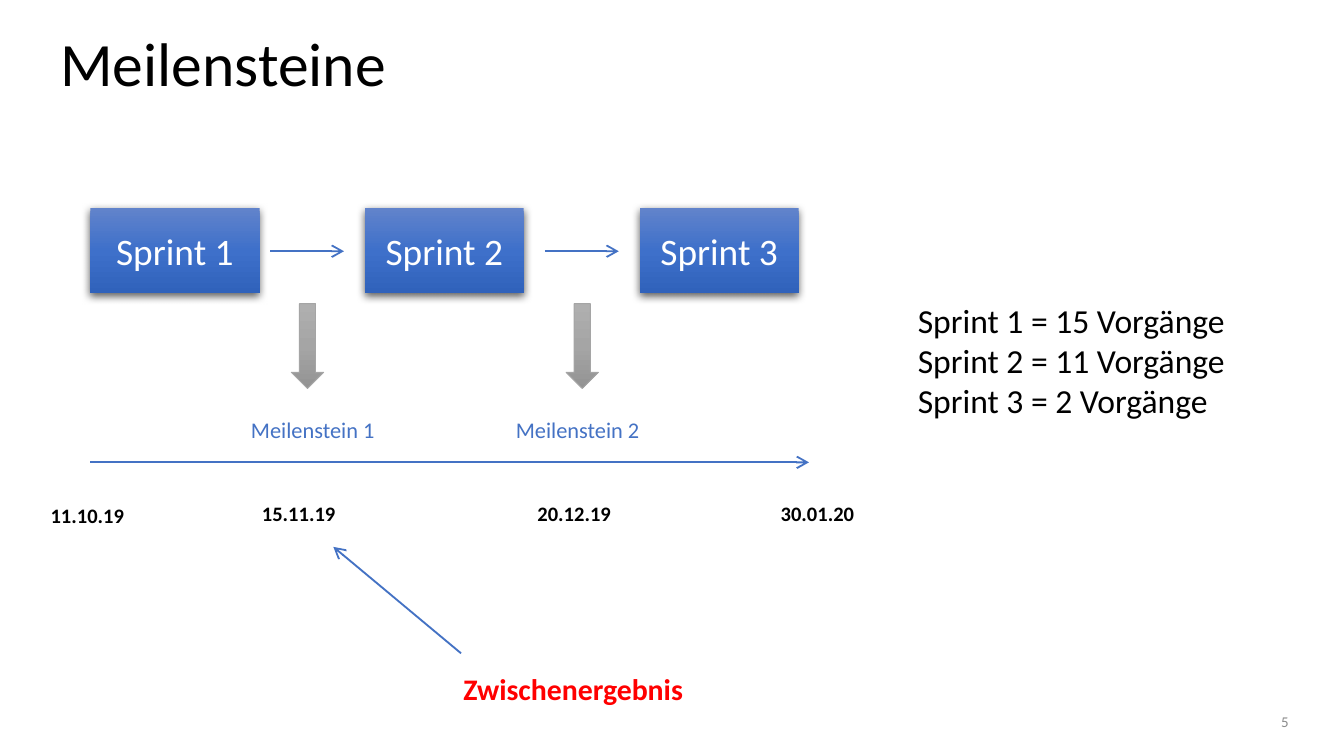
"""Build the milestones slide: three sprints above a dated timeline."""
from lxml import etree
from pptx import Presentation
from pptx.dml.color import RGBColor
from pptx.enum import shapes, text
from pptx.oxml import parse_xml
from pptx.oxml.ns import nsdecls, qn
from pptx.util import Pt

THEME = {
    "font": "Calibri",
    "black": "000000", "white": "FFFFFF", "blue": "4472C4",
    "red": "FF0000", "muted": "8C8C8C", "gray": "A5A5A5",
    "sprint_fill": ("6183CB", "3E70CA", "3062BB"),
    "arrow_fill": ("AFAFAF", "A5A5A5", "939393"),
    "title": 33, "sprint": 20, "notes": 18, "result": 16,
    "milestone": 12, "date": 11, "number": 8,
}
TITLE = "Meilensteine"
SPRINTS = [("Sprint 1", 90.7), ("Sprint 2", 85), ("Sprint 3", 85)]
MILESTONES = [("Meilenstein 1", 127.4), ("Meilenstein 2", 269.3)]
DATES = [("11.10.19", 20, 266), ("15.11.19", 133.2, 265),
         ("20.12.19", 280.8, 265), ("30.01.20", 411.1, 265)]
NOTES = ["Sprint 1 = 15 Vorgänge", "Sprint 2 = 11 Vorgänge", "Sprint 3 = 2 Vorgänge"]
RESULT = "Zwischenergebnis"
NUMBER = "5"

LEFT, PITCH = 48.4, 147.2
SPRINT_TOP, SPRINT_HEIGHT = 111.7, 45.4
TIMELINE_Y, TIMELINE_END = 247.7, 433.4


def write(shape, lines, size, color, **formats):
    """Fill a shape with one paragraph per line."""
    frame = shape.text_frame
    options = {"word_wrap": True, "vertical_anchor": formats.get("anchor", text.MSO_ANCHOR.TOP)}
    if "inset" in formats:
        options.update(margin_left=Pt(formats["inset"]), margin_right=Pt(formats["inset"]))
    for name, value in options.items():
        setattr(frame, name, value)
    for index, line in enumerate(lines):
        para = frame.add_paragraph() if index else frame.paragraphs[0]
        para.alignment = formats.get("align", text.PP_ALIGN.LEFT)
        para.line_spacing = formats.get("spacing", 1.0)
        span = para.add_run()
        span.text = line
        font = {"name": THEME["font"], "size": Pt(THEME[size]), "bold": formats.get("bold", False)}
        for name, value in font.items():
            setattr(span.font, name, value)
        span.font.color.rgb = RGBColor.from_string(THEME[color])


def add_label(page, bounds, lines, size, color, **formats):
    """Add a text box."""
    box = page.shapes.add_textbox(*map(Pt, bounds))
    write(box, lines, size, color, **formats)


def add_gradient_shape(page, kind, bounds, colors):
    """Add a preset shape with a vertical gradient and no outline."""
    shape = page.shapes.add_shape(kind, *map(Pt, bounds))
    shape.shadow.inherit = False
    shape.line.fill.background()
    stops = "".join(
        f'<a:gs pos="{index * 50000}"><a:srgbClr val="{color}"/></a:gs>'
        for index, color in enumerate(colors))
    geometry = shape.element.spPr.find(qn("a:prstGeom"))
    geometry.addnext(parse_xml(
        f'<a:gradFill {nsdecls("a")} rotWithShape="1"><a:gsLst>{stops}</a:gsLst>'
        '<a:lin ang="5400000" scaled="0"/></a:gradFill>'))
    return shape


def add_shadow(shape):
    """Put a soft shadow below a shape."""
    effects = shape.element.spPr.find(qn("a:effectLst"))
    effects.append(parse_xml(
        f'<a:outerShdw {nsdecls("a")} blurRad="{Pt(4.5)}" dist="{Pt(1.5)}" dir="5400000" '
        'algn="ctr" rotWithShape="0"><a:srgbClr val="000000"><a:alpha val="63000"/>'
        '</a:srgbClr></a:outerShdw>'))


def add_arrow(page, *ends):
    """Add a thin line with an open arrowhead at its end."""
    arrow = page.shapes.add_connector(shapes.MSO_CONNECTOR.STRAIGHT, *map(Pt, ends))
    arrow.line.width = Pt(1)
    arrow.line.color.rgb = RGBColor.from_string(THEME["blue"])
    etree.SubElement(arrow.line._get_or_add_ln(), qn("a:tailEnd"), type="arrow")
    etree.SubElement(arrow.element.spPr, qn("a:effectLst"))


def main():
    """Lay out the slide and save it."""
    deck = Presentation()
    deck.slide_width, deck.slide_height = Pt(720), Pt(405)
    page = deck.slides.add_slide(deck.slide_layouts[6])
    middle, center = text.MSO_ANCHOR.MIDDLE, text.PP_ALIGN.CENTER

    add_label(page, (25.2, 13, 666, 45.4), [TITLE], "title", "black", anchor=middle, spacing=0.9)
    add_label(page, (469.4, 379.4, 221, 14.4), [NUMBER], "number", "muted",
              anchor=middle, align=text.PP_ALIGN.RIGHT, inset=0)
    add_label(page, (484.6, 157, 215.3, 72.7), NOTES, "notes", "black")

    for index, (name, width) in enumerate(SPRINTS):
        left = LEFT + index * PITCH
        sprint = add_gradient_shape(page, shapes.MSO_SHAPE.RECTANGLE,
                                    (left, SPRINT_TOP, width, SPRINT_HEIGHT), THEME["sprint_fill"])
        add_shadow(sprint)
        write(sprint, [name], "sprint", "white", anchor=middle, align=center)

    for index, (name, label_left) in enumerate(MILESTONES):
        left = LEFT + index * PITCH
        add_arrow(page, left + 96.3, 134.6, left + 135.9, 134.6)
        pointer = add_gradient_shape(page, shapes.MSO_SHAPE.DOWN_ARROW,
                                     (left + 107.7, 162.7, 17.3, SPRINT_HEIGHT), THEME["arrow_fill"])
        pointer.line.color.rgb = RGBColor.from_string(THEME["gray"])
        pointer.line.width = Pt(0.5)
        add_label(page, (label_left, 219.6, 90.7, 21.6), [name], "milestone", "blue")

    add_arrow(page, LEFT, TIMELINE_Y, TIMELINE_END, TIMELINE_Y)
    for date, left, top in DATES:
        add_label(page, (left, top, 60, 20.9), [date], "date", "black", bold=True)

    add_arrow(page, 247, 350, 178.6, 293)
    add_label(page, (241.2, 355.7, 147.6, 26.6), [RESULT], "result", "red", bold=True)
    deck.save("out.pptx")


if __name__ == "__main__":
    main()
